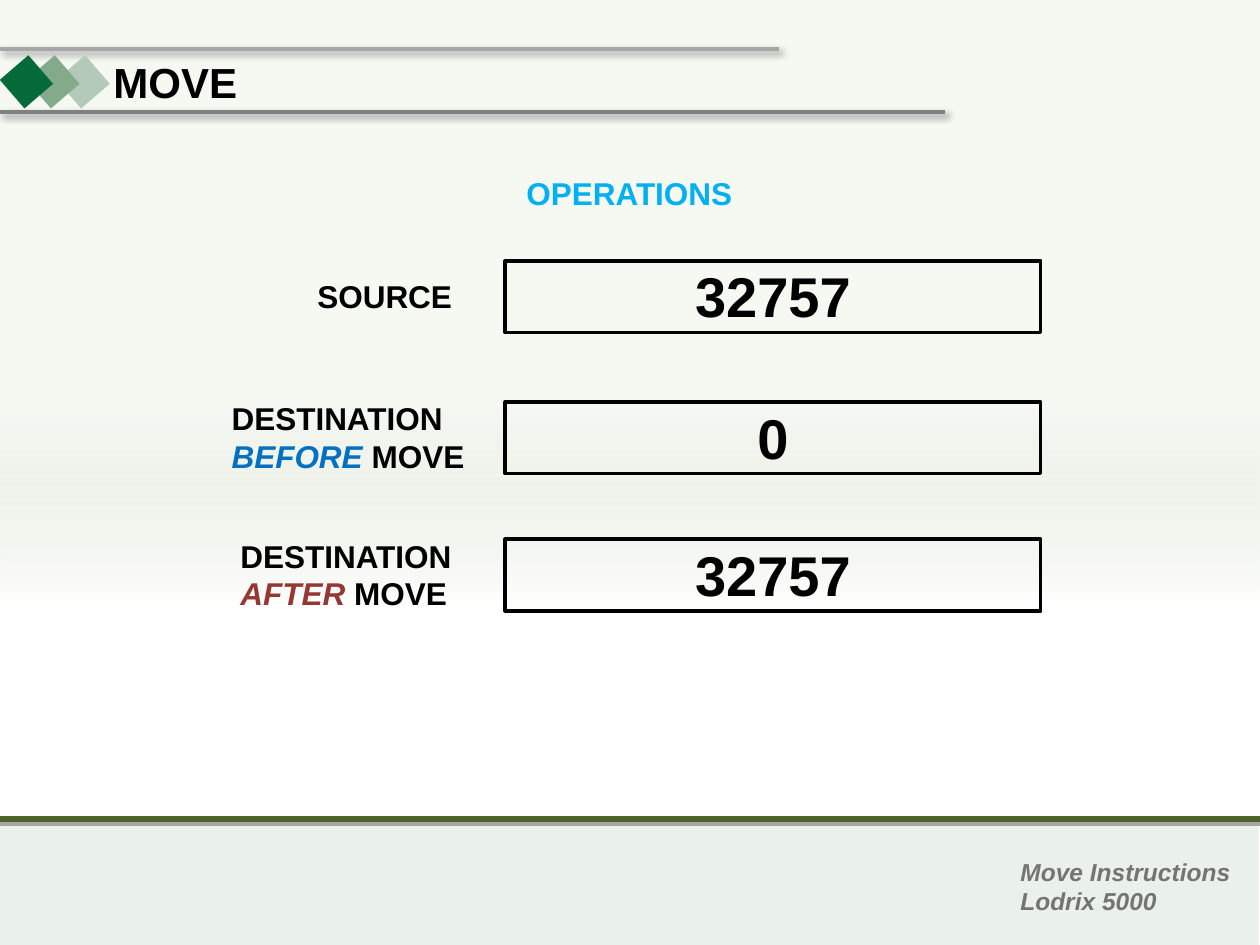
import dataclasses
import typing

import pptx
import pptx.dml.color
import pptx.enum.shapes
import pptx.enum.text
import pptx.oxml
import pptx.oxml.ns
import pptx.util

Inches = pptx.util.Inches
Pt = pptx.util.Pt
RECT = pptx.enum.shapes.MSO_SHAPE.RECTANGLE
ALIGN = pptx.enum.text.PP_ALIGN
NS = pptx.oxml.ns.nsdecls("a")

COLORS = {
    "white": "FFFFFF", "black": "000000", "tint": "D1DCC3", "footer": "EAF0EB",
    "olive": "4F6228", "silver": "A6A6A6", "gray": "808080", "footer_text": "757474",
    "pale_green": "B4CAB8", "mid_green": "84AA8C", "green": "046A38",
    "sky": "00B0F0", "blue": "0070C0", "red": "953735",
}


@dataclasses.dataclass
class Run:
    text: str
    color: str = "black"
    italic: bool = False


Lines = typing.List[typing.List[Run]]


@dataclasses.dataclass
class Rule:
    left: float
    right: float
    y: float
    color: str
    width: float
    shadow: bool = False


@dataclasses.dataclass
class Operation:
    label: Lines
    label_at: typing.Tuple[float, float, float, float]
    value: str
    box_top: float


def rgb(name: str) -> pptx.dml.color.RGBColor:
    return pptx.dml.color.RGBColor.from_string(COLORS[name])


def write(tf, lines: Lines, size: float, align=ALIGN.LEFT) -> None:
    for i, line in enumerate(lines):
        p = tf.paragraphs[0] if i == 0 else tf.add_paragraph()
        p.alignment = align
        for run in line:
            r = p.add_run()
            r.text = run.text
            r.font.name = "Arial"
            r.font.size = Pt(size)
            r.font.bold = True
            r.font.italic = run.italic
            r.font.color.rgb = rgb(run.color)


def add_text(s, at, lines: Lines, size: float, align=ALIGN.LEFT) -> None:
    tf = s.shapes.add_textbox(*map(Inches, at)).text_frame
    tf.word_wrap = False
    tf.auto_size = pptx.enum.text.MSO_AUTO_SIZE.SHAPE_TO_FIT_TEXT
    write(tf, lines, size, align)


def add_rect(s, at, fill: typing.Optional[str] = None,
             line: typing.Optional[str] = None, rotation: float = 0):
    sp = s.shapes.add_shape(RECT, *map(Inches, at))
    sp.shadow.inherit = False
    sp.rotation = rotation
    if fill:
        sp.fill.solid()
        sp.fill.fore_color.rgb = rgb(fill)
    else:
        sp.fill.background()
    if line:
        sp.line.color.rgb = rgb(line)
        sp.line.width = Pt(2)
    else:
        sp.line.fill.background()
    return sp


def add_backdrop(s) -> None:
    sp = add_rect(s, (0, 0, 10, 6.5))
    sp.fill.gradient()
    sp.fill.gradient_angle = 270
    stops = sp.fill._fill._gradFill.find(pptx.oxml.ns.qn("a:gsLst"))
    for stop in list(stops):
        stops.remove(stop)
    for position, color, alpha in ((50, "tint", 20), (74, "white", 100), (100, "white", 100)):
        stops.append(pptx.oxml.parse_xml(
            f'<a:gs {NS} pos="{position * 1000}"><a:srgbClr val="{COLORS[color]}">'
            f'<a:alpha val="{alpha * 1000}"/></a:srgbClr></a:gs>'))


def add_rule(s, rule: Rule) -> None:
    c = s.shapes.add_connector(
        pptx.enum.shapes.MSO_CONNECTOR.STRAIGHT,
        Inches(rule.left), Inches(rule.y), Inches(rule.right), Inches(rule.y))
    c.line.color.rgb = rgb(rule.color)
    c.line.width = Pt(rule.width)
    shadow = (
        f'<a:outerShdw blurRad="{Pt(4)}" dist="{Pt(3)}" dir="2700000" algn="tl" rotWithShape="0">'
        f'<a:srgbClr val="{COLORS["black"]}"><a:alpha val="40000"/></a:srgbClr></a:outerShdw>'
    ) if rule.shadow else ""
    c._element.spPr.append(pptx.oxml.parse_xml(f"<a:effectLst {NS}>{shadow}</a:effectLst>"))


def add_operation(s, op: Operation) -> None:
    add_text(s, op.label_at, op.label, 18)
    add_rect(s, (4.01, op.box_top, 4.25, 0.57), line="black")
    add_text(s, (5.41, op.box_top - 0.04, 1.45, 0.64), [[Run(op.value)]], 32, ALIGN.CENTER)


def add_title(s, text: str) -> None:
    sp = s.shapes.title
    sp.left, sp.top, sp.width, sp.height = map(Inches, (0.8, 0.4, 1.23, 0.5))
    tf = sp.text_frame
    tf.word_wrap = True
    tf.auto_size = pptx.enum.text.MSO_AUTO_SIZE.NONE
    tf.vertical_anchor = pptx.enum.text.MSO_ANCHOR.TOP
    write(tf, [[Run(text)]], 24)
    s.shapes._spTree.append(sp._element)


RULES = [
    Rule(0, 10, 6.54, "silver", 2.25),
    Rule(0, 10, 6.5, "olive", 3),
    Rule(-0.01, 7.5, 0.89, "gray", 2.25, True),
    Rule(-0.01, 6.18, 0.39, "silver", 2.25, True),
]
DIAMONDS = [(0.51, "pale_green"), (0.27, "mid_green"), (0.06, "green")]
OPERATIONS = [
    Operation([[Run("SOURCE")]], (2.42, 2.15, 1.28, 0.4), "32757", 2.07),
    Operation([[Run("DESTINATION")], [Run("BEFORE", "blue", True), Run(" MOVE")]],
              (1.74, 3.12, 2.07, 0.71), "0", 3.19),
    Operation([[Run("DESTINATION")], [Run("AFTER", "red", True), Run(" MOVE")]],
              (1.81, 4.21, 1.89, 0.71), "32757", 4.28),
]


def main() -> None:
    prs = pptx.Presentation()
    prs.slide_width, prs.slide_height = Inches(10), Inches(7.5)
    s = prs.slides.add_slide(prs.slide_layouts[5])
    add_rect(s, (-0.01, 6.5, 10, 1), "footer")
    add_backdrop(s)
    for rule in RULES:
        add_rule(s, rule)
    for left, color in DIAMONDS:
        add_rect(s, (left, 0.5, 0.3, 0.3), color, rotation=49.2)
    footer = [[Run(text, "footer_text", True)] for text in ("Move Instructions", "Lodrix 5000")]
    add_text(s, (8, 6.75, 1.87, 0.57), footer, 14)
    add_text(s, (4.08, 1.33, 1.84, 0.4), [[Run("OPERATIONS", "sky")]], 18)
    for op in OPERATIONS:
        add_operation(s, op)
    add_title(s, "MOVE")
    prs.save("out.pptx")


if __name__ == "__main__":
    main()
